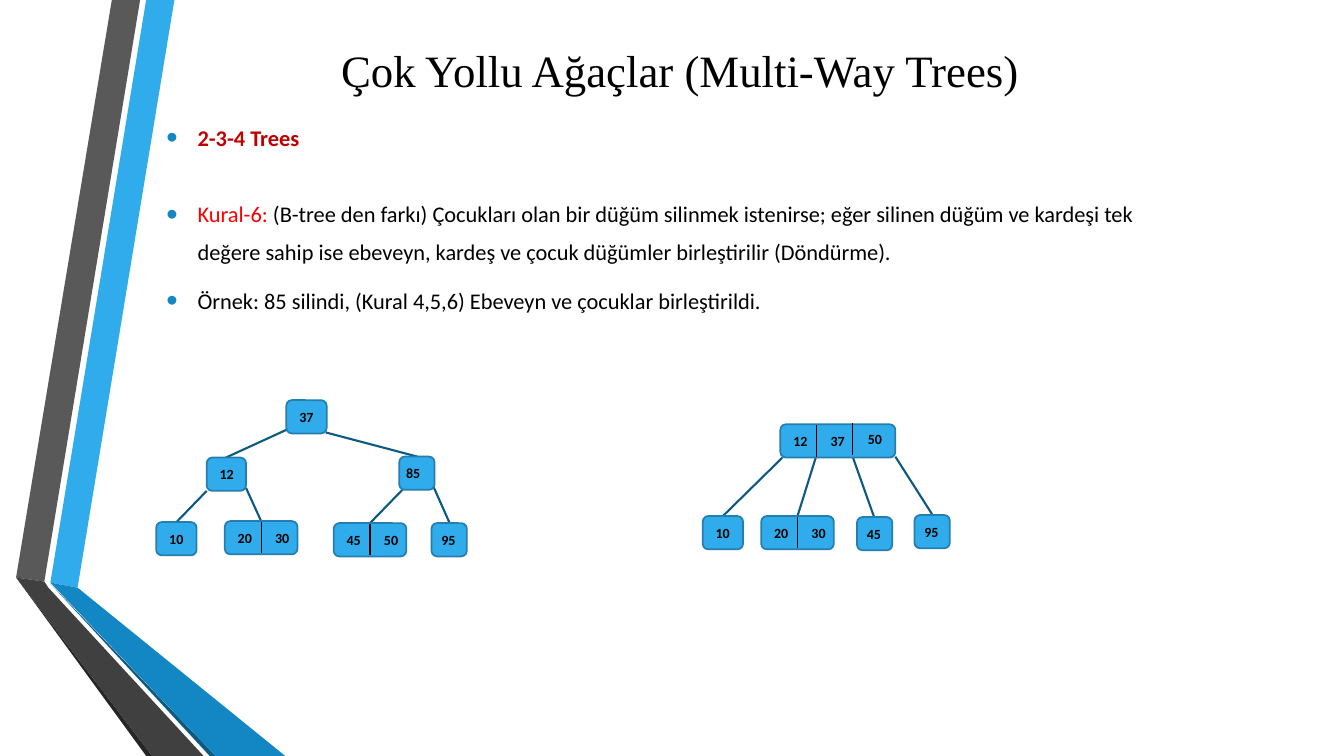
import pptx
import pptx.util
import pptx.dml.color
import pptx.enum.shapes
import pptx.enum.text
import pptx.oxml.ns
import lxml.etree

PX = 9144  # EMU per px, 100 px to the inch
NODE_H = 33
KEY_W = 36
COLORS = {
    "text": "000000", "heading": "C00000", "rule": "FF0000",
    "bullet": "1287C3", "node": "30ACEC", "node_line": "247FAF",
    "edge": "0C5A82", "divider": "000000",
}
ALIGN = pptx.enum.text.PP_ALIGN
ANCHOR = pptx.enum.text.MSO_ANCHOR
FIT = pptx.enum.text.MSO_AUTO_SIZE

# Side ribbon: fill and outline of each band
BANDS = [
    ("30ACEC", [(50, 578), (77, 583), (173, 0), (145, 0)]),
    ("595959", [(139, 0), (111, 0), (16, 573), (44, 577)]),
    ("262626", [(16, 573), (145, 750), (151, 750)]),
    ("0C5A82", [(50, 579), (208, 750), (214, 750)]),
    ("1287C3", [(50, 578), (214, 750), (283, 750), (77, 583)]),
    ("404040", [(16, 573), (151, 750), (202, 750), (48, 583), (44, 577)]),
]

# Trees: edges as x1, y1, x2, y2; nodes as x, y, width, keys
BEFORE_EDGES = [
    (285, 426, 224, 454), (323, 429, 414, 453), (205, 487, 175, 518),
    (244, 484, 259, 517), (400, 485, 367, 519), (430, 483, 446, 519),
]
BEFORE_NODES = [
    (284, 397, 40, ["37"]), (205, 454, 39, ["12"]), (396, 453, 35, ["85"]),
    (155, 518, 40, ["10"]), (223, 517, 72, ["20", "30"]),
    (331, 519, 72, ["45", "50"]), (428, 519, 35, ["95"]),
]
AFTER_EDGES = [
    (776, 454, 717, 512), (810, 451, 791, 512),
    (846, 454, 867, 513), (888, 453, 925, 511),
]
AFTER_NODES = [
    (774, 421, 114, ["12", "37", "50"]), (697, 512, 40, ["10"]),
    (755, 512, 72, ["20", "30"]), (850, 513, 35, ["45"]),
    (907, 511, 35, ["95"]),
]


def rgb(value):
    return pptx.dml.color.RGBColor.from_string(value)


def write(p, text, size=16, font="Calibri", color="text", bold=False):
    r = p.add_run()
    r.text = text
    r.font.size = pptx.util.Pt(size)
    r.font.name = font
    r.font.bold = bold
    r.font.color.rgb = rgb(COLORS[color])


def place(sp, x, y, w, h):
    sp.left, sp.top, sp.width, sp.height = x * PX, y * PX, w * PX, h * PX


def add_bullet(p):
    pPr = p._p.get_or_add_pPr()
    pPr.set("marL", str(31 * PX))
    pPr.set("indent", str(-31 * PX))
    qn = pptx.oxml.ns.qn
    clr = lxml.etree.SubElement(pPr, qn("a:buClr"))
    lxml.etree.SubElement(clr, qn("a:srgbClr"), val=COLORS["bullet"])
    lxml.etree.SubElement(pPr, qn("a:buSzPct"), val="145000")
    lxml.etree.SubElement(pPr, qn("a:buFont"), typeface="Arial")
    lxml.etree.SubElement(pPr, qn("a:buChar"), char="•")


def add_item(p, runs, align=ALIGN.LEFT, before=2, after=6):
    add_bullet(p)
    p.alignment = align
    p.line_spacing = 1.4
    p.space_before = pptx.util.Pt(before)
    p.space_after = pptx.util.Pt(after)
    for text, fmt in runs:
        write(p, text, **fmt)


def add_band(s, color, points):
    builder = s.shapes.build_freeform(*points[0], scale=PX)
    builder.add_line_segments(points[1:], close=True)
    sp = builder.convert_to_shape()
    sp.shadow.inherit = False
    sp.fill.solid()
    sp.fill.fore_color.rgb = rgb(color)
    sp.line.fill.background()
    s.shapes.title._element.addprevious(sp._element)


def add_line(shapes, x1, y1, x2, y2, color, width):
    line = shapes.add_connector(pptx.enum.shapes.MSO_CONNECTOR.STRAIGHT,
                                x1 * PX, y1 * PX, x2 * PX, y2 * PX)
    line.line.color.rgb = rgb(COLORS[color])
    line.line.width = pptx.util.Pt(width)
    lxml.etree.SubElement(line._element.spPr, pptx.oxml.ns.qn("a:effectLst"))


def add_key(shapes, x, y, text):
    tf = shapes.add_textbox(x * PX, y * PX, KEY_W * PX, 27 * PX).text_frame
    tf.word_wrap = True
    tf.auto_size = FIT.SHAPE_TO_FIT_TEXT
    write(tf.paragraphs[0], text, size=10, bold=True)


def add_node(shapes, x, y, w, keys):
    sp = shapes.add_shape(pptx.enum.shapes.MSO_SHAPE.ROUNDED_RECTANGLE,
                          x * PX, y * PX, w * PX, NODE_H * PX)
    sp.shadow.inherit = False
    sp.fill.solid()
    sp.fill.fore_color.rgb = rgb(COLORS["node"])
    sp.line.color.rgb = rgb(COLORS["node_line"])
    sp.line.width = pptx.util.Pt(1.25)
    inset = 3 if w > KEY_W else 0
    if keys == ["85"]:
        inset = -3
    for i, key in enumerate(keys):
        lift = 2 if i == 2 else 0  # the third key sits slightly higher
        if i:
            mid = x + KEY_W * i
            add_line(shapes, mid, y + 1 - lift, mid, y + 32 - lift,
                     "divider", 0.75)
        add_key(shapes, x + inset + (KEY_W + 1) * i, y + 3 - lift, key)


def add_tree(s, edges, nodes):
    shapes = s.shapes.add_group_shape().shapes
    for edge in edges:
        add_line(shapes, *edge, "edge", 1.5)
    for node in nodes:
        add_node(shapes, *node)


def main():
    prs = pptx.Presentation()
    prs.slide_width, prs.slide_height = pptx.util.Inches(13.33), 750 * PX
    s = prs.slides.add_slide(prs.slide_layouts[1])

    # Ribbon behind everything
    for color, points in BANDS:
        add_band(s, color, points)

    # Title
    title = s.shapes.title
    place(title, 155, 17, 1039, 104)
    tf = title.text_frame
    tf.vertical_anchor = ANCHOR.MIDDLE
    tf.auto_size = FIT.NONE
    tf.paragraphs[0].alignment = ALIGN.CENTER
    write(tf.paragraphs[0], "Çok Yollu Ağaçlar (Multi-Way Trees)",
          size=32, font="Times New Roman")

    # Bulleted text
    body = s.placeholders[1]
    place(body, 155, 107, 1039, 218)
    tf = body.text_frame
    tf.vertical_anchor = ANCHOR.TOP
    tf.auto_size = FIT.NONE
    add_item(tf.paragraphs[0],
             [("2-3-4 Trees", {"color": "heading", "bold": True})],
             align=ALIGN.JUSTIFY, before=0, after=26)
    add_item(tf.add_paragraph(), [
        ("Kural-6:", {"color": "rule"}),
        (" (B-tree den farkı) Çocukları olan bir düğüm silinmek istenirse; "
         "eğer silinen düğüm ve kardeşi tek değere sahip ise ebeveyn, kardeş "
         "ve çocuk düğümler birleştirilir (Döndürme).", {}),
    ])
    add_item(tf.add_paragraph(), [
        ("Örnek: 85 silindi, (Kural 4,5,6) Ebeveyn ve çocuklar "
         "birleştirildi.", {}),
    ])

    # Trees before and after the deletion
    add_tree(s, BEFORE_EDGES, BEFORE_NODES)
    add_tree(s, AFTER_EDGES, AFTER_NODES)

    prs.save("out.pptx")


if __name__ == "__main__":
    main()
